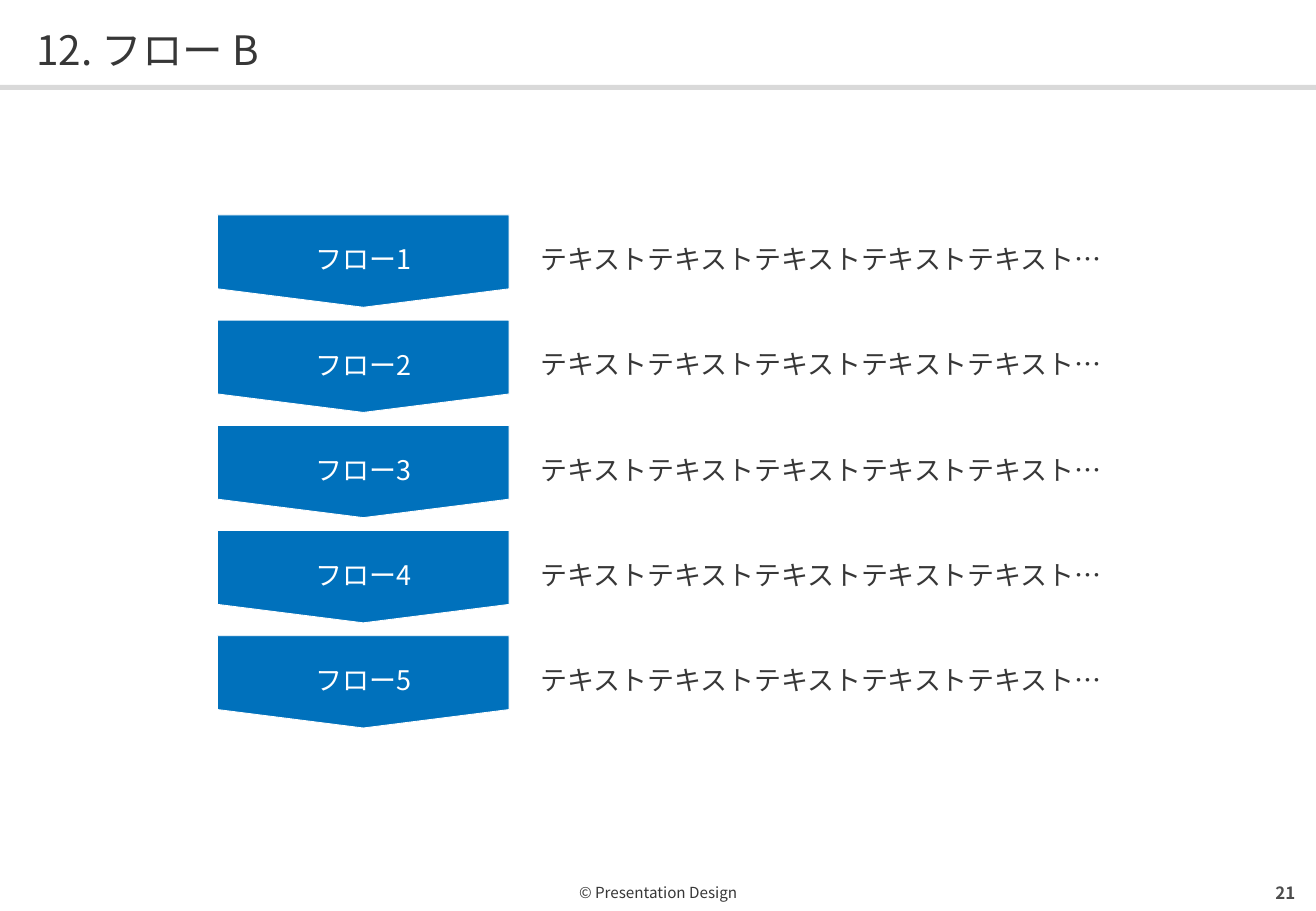
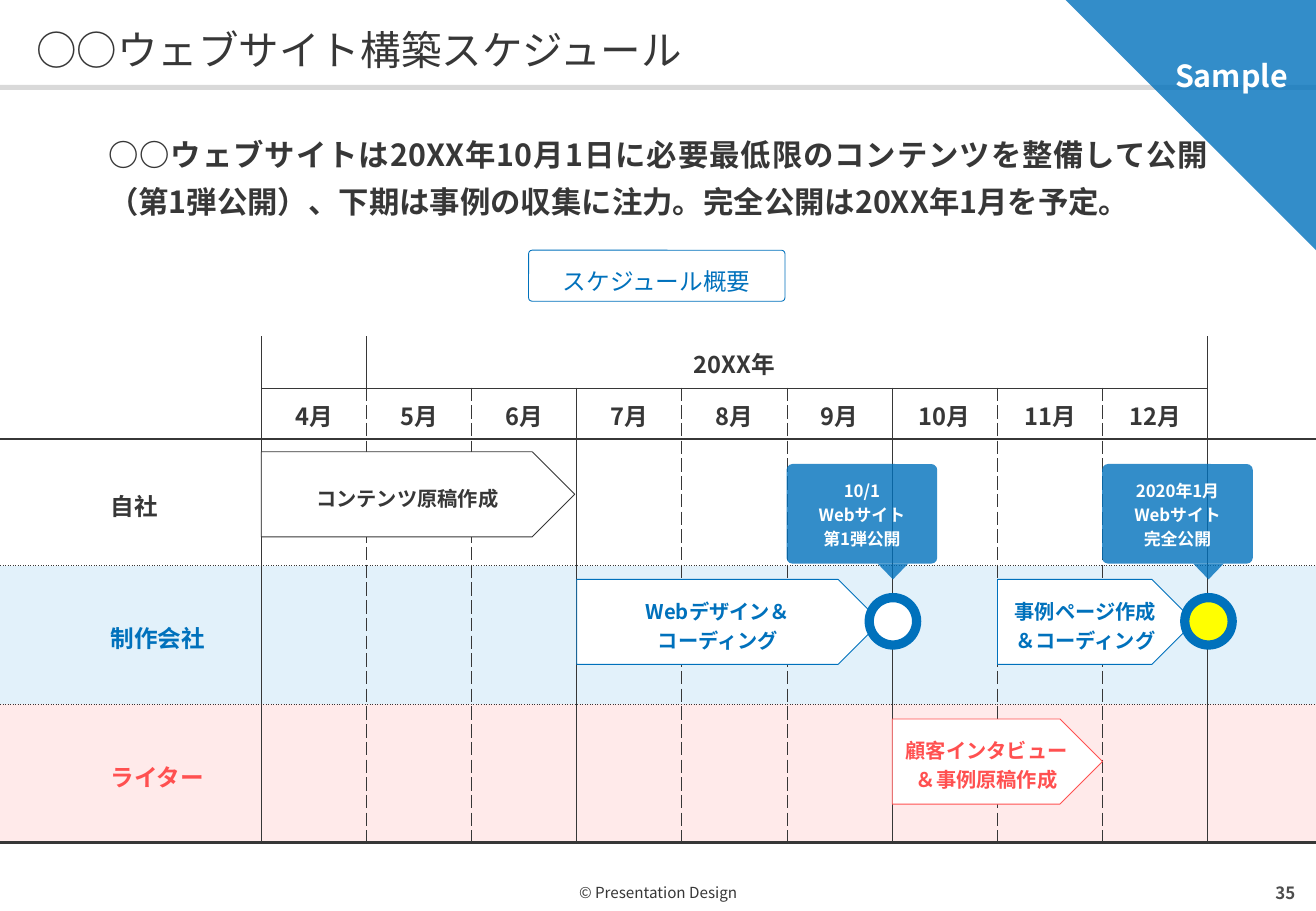
from lxml import etree
from pptx import Presentation
from pptx.dml.color import RGBColor as RGB
from pptx.enum.shapes import MSO_SHAPE as SHAPE
from pptx.enum.text import MSO_ANCHOR as ANCHOR, MSO_AUTO_SIZE as AUTO, PP_ALIGN as ALIGN
from pptx.oxml.ns import qn
from pptx.util import Inches, Pt

FONT = "Noto Sans CJK JP"
COLORS = {
    "ink": "373737", "page": "4D4D4D", "band": "D9D9D9", "white": "FFFFFF",
    "blue": "0071BC", "red": "FF5050", "yellow": "FFFF00",
    "pale_blue": "E2F1FA", "pale_red": "FFEAEA",
}
SIDES = ("left", "top", "right", "bottom")
PLAIN_TABLE = "{2D5ABB26-0587-4C30-8999-92F81FD0307C}"
W, H = 10.83, 7.5


def write(tf, lines, size, color="ink", bold=False, align=ALIGN.CENTER,
          anchor=ANCHOR.MIDDLE, spacing=None, insets=(0, 0, 0, 0), wrap=True):
    frame = {"word_wrap": wrap, "auto_size": AUTO.NONE, "vertical_anchor": anchor}
    frame.update({f"margin_{k}": Inches(v) for k, v in zip(SIDES, insets)})
    for k, v in frame.items():
        setattr(tf, k, v)
    for i, line in enumerate(lines):
        p = tf.paragraphs[0] if i == 0 else tf.add_paragraph()
        for k, v in {"alignment": align, "line_spacing": spacing,
                     "space_before": Pt(0)}.items():
            setattr(p, k, v)
        r = p.add_run()
        r.text = line
        for k, v in {"name": FONT, "size": Pt(size), "bold": bold}.items():
            setattr(r.font, k, v)
        r.font.color.rgb = RGB.from_string(COLORS[color])
        etree.SubElement(r.font._element, qn("a:ea"), typeface=FONT)


def paint(sp, fill=None, line=None, width=0.5, alpha=None, radius=None):
    sp.shadow.inherit = False
    if radius is not None:
        sp.adjustments[0] = radius
    if fill:
        sp.fill.solid()
        sp.fill.fore_color.rgb = RGB.from_string(COLORS[fill])
    else:
        sp.fill.background()
    if alpha:
        clr = sp._element.spPr.find(qn("a:solidFill"))[0]
        etree.SubElement(clr, qn("a:alpha"), val=str(alpha * 1000))
    if line:
        sp.line.color.rgb = RGB.from_string(COLORS[line])
        sp.line.width = Pt(width)
    else:
        sp.line.fill.background()


prs = Presentation()
prs.slide_width, prs.slide_height = Inches(W), Inches(H)

slides = []
for title, number in [("12. フロー B", "21"), ("○○ウェブサイト構築スケジュール", "35")]:
    s = prs.slides.add_slide(prs.slide_layouts[5])
    footer = s.shapes.add_shape(SHAPE.ROUNDED_RECTANGLE, Inches(3.72), Inches(7.21),
                                Inches(3.39), Inches(0.21))
    paint(footer, radius=0)
    write(footer.text_frame, ["© Presentation Design"], 9, anchor=ANCHOR.TOP, spacing=1.4)
    band = s.shapes.add_shape(SHAPE.RECTANGLE, 0, Inches(0.7), Inches(W), Inches(0.04))
    paint(band, "band")
    sp = s.shapes.title
    for k, v in {"left": 0.3, "top": 0.17, "width": 10.24, "height": 0.43}.items():
        setattr(sp, k, Inches(v))
    write(sp.text_frame, [title], 24, align=ALIGN.LEFT, spacing=1.1)
    page = s.shapes.add_textbox(Inches(8.13), Inches(7.21), Inches(2.53), Inches(0.28))
    write(page.text_frame, [number], 10, "page", True, ALIGN.RIGHT)
    slides.append(s)
flow, schedule = slides

FLOW_TOP, FLOW_STEP = 1.77, 0.866
for i in range(5):
    y = FLOW_TOP + i * FLOW_STEP
    sp = flow.shapes.add_shape(SHAPE.FLOWCHART_OFFPAGE_CONNECTOR,
                               Inches(1.79), Inches(y), Inches(2.4), Inches(0.76))
    paint(sp, "blue", "white")
    write(sp.text_frame, [f"フロー{i + 1}"], 16, "white", insets=(0.12, 0.12, 0.12, 0))
    sp = flow.shapes.add_shape(SHAPE.ROUNDED_RECTANGLE, Inches(4.45), Inches(y + 0.175),
                               Inches(4.67), Inches(0.31))
    paint(sp, radius=0)
    write(sp.text_frame, ["テキスト" * 5 + "…"], 16, align=ALIGN.JUSTIFY,
          anchor=ANCHOR.TOP, spacing=1.2)

LABEL_W, MONTH_W = 2.15, 7.79 / 9
x = [LABEL_W + MONTH_W * m for m in range(10)]
widths = [LABEL_W] + [MONTH_W] * 9 + [W - x[9]]
heights = [0.37, 0.37, 1.04, 1.14, 1.14]
row_fills = [None, None, None, "pale_blue", "pale_red"]
row_rules = [(0.5, "solid"), (1.5, "solid"), (0.5, "dot"), (0.5, "dot"), (1.5, "solid")]
labels = {2: ("自社", "ink"), 3: ("制作会社", "blue"), 4: ("ライター", "red")}
headers = {(0, 5): "20XX年"}
headers.update({(1, m): f"{m + 3}月" for m in range(1, 10)})

table = schedule.shapes.add_table(5, 11, 0, Inches(2.77), Inches(W),
                                  Inches(sum(heights))).table
table.first_row = table.horz_banding = False
table._tbl.tblPr.find(qn("a:tableStyleId")).text = PLAIN_TABLE
for c, w in enumerate(widths):
    table.columns[c].width = Inches(w)
for row, h in enumerate(heights):
    table.rows[row].height = Inches(h)
    for c in range(11):
        cell = table.cell(row, c)
        for side in SIDES:
            setattr(cell, f"margin_{side}", 0)
        text, color, align, insets = None, "ink", ALIGN.CENTER, (0, 0.08, 0, 0.06)
        if (row, c) in headers:
            text = headers[row, c]
        elif c == 0 and row in labels:
            text, color = labels[row]
            align, insets = ALIGN.LEFT, (0.91, 0.04, 0, 0)
        if text:
            write(cell.text_frame, [text], 14, color, True, align)
            cell.vertical_anchor = ANCHOR.MIDDLE
            for side, v in zip(SIDES, insets):
                setattr(cell, f"margin_{side}", Inches(v))
        if row_fills[row]:
            cell.fill.solid()
            cell.fill.fore_color.rgb = RGB.from_string(COLORS[row_fills[row]])
        else:
            cell.fill.background()
        borders = {}
        for tag, edge in (("a:lnL", c - 1), ("a:lnR", c)):
            if 0 <= edge <= 9 and (row > 0 or edge in (0, 9)):
                borders[tag] = (0.5, "dash" if edge % 3 else "solid")
        for tag, edge in (("a:lnT", row - 1), ("a:lnB", row)):
            if edge > 0 or (edge == 0 and 1 <= c <= 9):
                borders[tag] = row_rules[edge]
        for i, (tag, (width, dash)) in enumerate(borders.items()):
            ln = etree.Element(qn(tag), w=str(Pt(width)))
            solid = etree.SubElement(ln, qn("a:solidFill"))
            etree.SubElement(solid, qn("a:srgbClr"), val=COLORS["ink"])
            etree.SubElement(ln, qn("a:prstDash"), val=dash)
            cell._tc.get_or_add_tcPr().insert(i, ln)

for month, y, w, color, pad, lines in [
    (0, 3.72, 2.58, "ink", 0.12, ["コンテンツ原稿作成"]),
    (3, 4.77, 2.5, "blue", 0.12, ["Webデザイン＆", "コーディング"]),
    (6, 5.92, 1.73, "red", 0.08, ["顧客インタビュー", "＆事例原稿作成"]),
    (7, 4.77, 1.62, "blue", 0.08, ["事例ページ作成", "＆コーディング"]),
]:
    sp = schedule.shapes.add_shape(SHAPE.PENTAGON, Inches(x[month]), Inches(y),
                                   Inches(w), Inches(0.7))
    paint(sp, "white", color)
    write(sp.text_frame, lines, 12, color, True, spacing=1.2, insets=(pad, 0.12, pad, 0.1))

lead = schedule.shapes.add_shape(SHAPE.ROUNDED_RECTANGLE, Inches(0.89), Inches(1.03),
                                 Inches(9.06), Inches(0.76))
paint(lead, radius=0)
write(lead.text_frame, ["○○ウェブサイトは20XX年10月1日に必要最低限のコンテンツを整備して公開"
                        "（第1弾公開）、下期は事例の収集に注力。完全公開は20XX年1月を予定。"],
      18, bold=True, align=ALIGN.JUSTIFY, anchor=ANCHOR.TOP, spacing=1.3)

sp = schedule.shapes.add_shape(SHAPE.ROUNDED_RECTANGLE, Inches(4.35), Inches(2.06),
                               Inches(2.11), Inches(0.42))
paint(sp, "white", "blue", radius=0.07)
write(sp.text_frame, ["スケジュール概要"], 14, "blue", spacing=1.2,
      insets=(0.12, 0.08, 0.12, 0.04))

for month, fill, lines in [(6, "white", ["10/1", "Webサイト", "第1弾公開"]),
                           (9, "yellow", ["2020年1月", "Webサイト", "完全公開"])]:
    sp = schedule.shapes.add_shape(SHAPE.ROUNDED_RECTANGLE, Inches(x[month] - 0.87),
                                   Inches(3.82), Inches(1.24), Inches(0.82))
    paint(sp, "blue", alpha=80, radius=0.06)
    write(sp.text_frame, lines, 10, "white", True, spacing=1.2,
          insets=(0.12, 0.08, 0.12, 0.1))
    pointer = schedule.shapes.add_shape(SHAPE.ISOSCELES_TRIANGLE, Inches(x[month] - 0.12),
                                        Inches(4.64), Inches(0.25), Inches(0.13))
    pointer.rotation = 180
    paint(pointer, "blue", alpha=80)
    dot = schedule.shapes.add_shape(SHAPE.OVAL, Inches(x[month] - 0.19), Inches(4.92),
                                    Inches(0.39), Inches(0.39))
    paint(dot, fill, "blue", 5.5)

CORNER = 2.06
fb = schedule.shapes.build_freeform(Inches(W - CORNER), 0)
fb.add_line_segments([(Inches(W), 0), (Inches(W), Inches(CORNER))], close=True)
corner = fb.convert_to_shape()
paint(corner, "blue", alpha=80)
write(corner.text_frame, ["Sample"], 18, "white", True, anchor=ANCHOR.TOP,
      insets=(0.67, 0.47, 0, 0), wrap=False)

prs.save("out.pptx")
